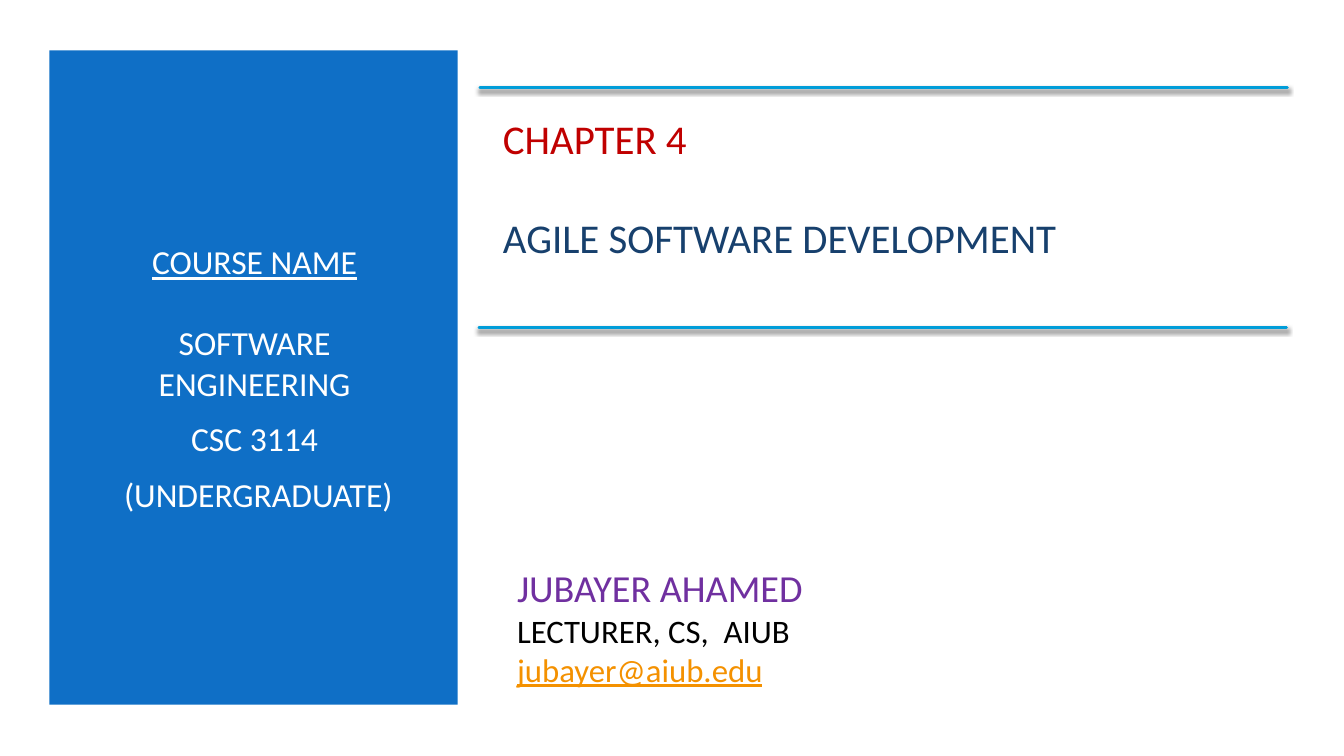
from lxml import etree
from pptx import Presentation
from pptx.dml.color import RGBColor
from pptx.enum.shapes import MSO_CONNECTOR, MSO_SHAPE
from pptx.enum.text import MSO_ANCHOR, PP_ALIGN
from pptx.oxml import parse_xml
from pptx.oxml.ns import nsdecls
from pptx.util import Inches, Pt

RECTANGLE = MSO_SHAPE.RECTANGLE
STRAIGHT = MSO_CONNECTOR.STRAIGHT
TOP, MIDDLE = MSO_ANCHOR.TOP, MSO_ANCHOR.MIDDLE
LEFT, CENTER = PP_ALIGN.LEFT, PP_ALIGN.CENTER

FONT = "Calibri"
WHITE = RGBColor(0xFF, 0xFF, 0xFF)
BLACK = RGBColor(0x00, 0x00, 0x00)
BLUE = RGBColor(0x0F, 0x6F, 0xC6)
CYAN = RGBColor(0x00, 0x9D, 0xD9)
RED = RGBColor(0xC0, 0x00, 0x00)
NAVY = RGBColor(0x17, 0x40, 0x6D)
PURPLE = RGBColor(0x70, 0x30, 0xA0)
ORANGE = RGBColor(0xF4, 0x91, 0x00)


def add_panel(s, x, y, w, h, color):
    sp = s.shapes.add_shape(RECTANGLE, Inches(x), Inches(y), Inches(w), Inches(h))
    sp.shadow.inherit = False
    sp.fill.solid()
    sp.fill.fore_color.rgb = color
    sp.line.fill.background()


def add_rule(s, x, y, length):
    """Draw a horizontal cyan line with a soft shadow below it."""
    line = s.shapes.add_connector(
        STRAIGHT, Inches(x), Inches(y), Inches(x + length), Inches(y))
    line.line.color.rgb = CYAN
    line.line.width = Pt(2)
    ln = line.line._get_or_add_ln()
    ln.set("cap", "rnd")
    effects = parse_xml(f"<a:effectLst {nsdecls('a')}/>")
    shadow = etree.SubElement(
        effects, effects.tag.replace("effectLst", "outerShdw"),
        blurRad=str(Pt(3)), dist=str(Pt(2)), dir="5400000", rotWithShape="0")
    color = etree.SubElement(
        shadow, effects.tag.replace("effectLst", "srgbClr"), val=str(BLACK))
    etree.SubElement(
        color, effects.tag.replace("effectLst", "alpha"), val="55000")
    ln.addnext(effects)


def add_text(s, x, y, w, h, lines, align=LEFT, anchor=MIDDLE):
    """Add one paragraph per (text, size, color, underline, space before)."""
    tf = s.shapes.add_textbox(Inches(x), Inches(y), Inches(w), Inches(h)).text_frame
    tf.word_wrap = True
    tf.vertical_anchor = anchor
    for i, (text, size, color, underline, before) in enumerate(lines):
        p = tf.paragraphs[0] if i == 0 else tf.add_paragraph()
        p.alignment = align
        if before:
            p.space_before = Pt(before)
        r = p.add_run()
        r.text = text
        r.font.name = FONT
        r.font.size = Pt(size)
        r.font.color.rgb = color
        r.font.underline = underline


def main():
    prs = Presentation()
    prs.slide_width, prs.slide_height = Inches(13.33), Inches(7.5)
    s = prs.slides.add_slide(prs.slide_layouts[6])

    add_panel(s, 0.49, 0.5, 4.05, 6.49, BLUE)
    add_text(s, 0.84, 1.12, 3.37, 5.25, [
        ("COURSE NAME", 24, WHITE, True, 0),
        ("SOFTWARE ENGINEERING", 24, WHITE, False, 29),
        ("CSC 3114", 24, WHITE, False, 10.8),
        (" (UNDERGRADUATE)", 24, WHITE, False, 10.8),
    ], align=CENTER)

    add_text(s, 4.89, 1.11, 7.85, 1.51, [
        ("CHAPTER 4", 29.2, RED, False, 0),
        ("AGILE SOFTWARE DEVELOPMENT", 29.2, NAVY, False, 35.5),
    ])
    add_text(s, 5.03, 5.55, 6.66, 1.44, [
        ("JUBAYER AHAMED", 27.3, PURPLE, False, 0),
        ("LECTURER, CS,  AIUB", 23.4, BLACK, False, 0),
        ("jubayer@aiub.edu", 23.4, ORANGE, True, 0),
    ], anchor=TOP)

    for x, y in ((4.76, 0.87), (4.75, 3.25)):
        add_rule(s, x, y, 8.01)

    prs.save("out.pptx")


if __name__ == "__main__":
    main()
